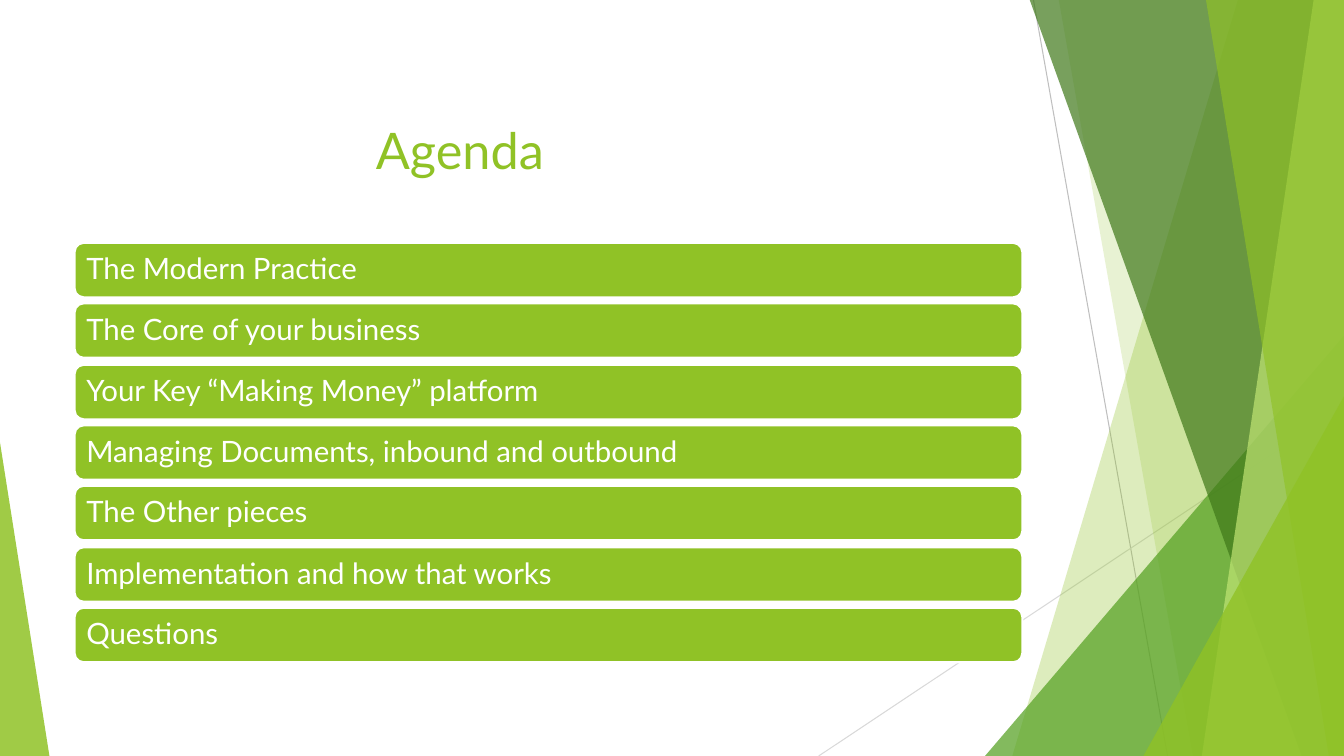
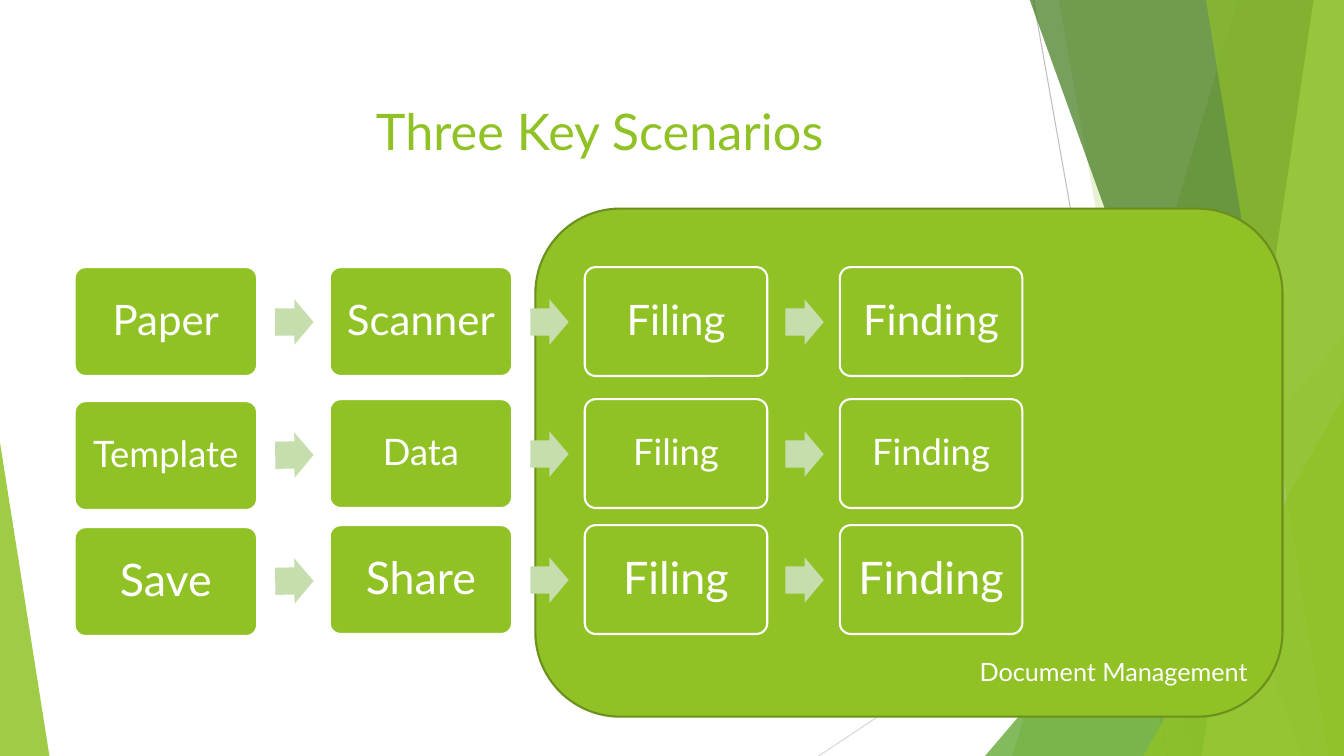
from dataclasses import dataclass

from lxml.etree import SubElement
from pptx import Presentation
from pptx.dml.color import RGBColor
from pptx.enum.shapes import MSO_CONNECTOR, MSO_SHAPE
from pptx.enum.text import MSO_ANCHOR, PP_ALIGN
from pptx.oxml.ns import qn
from pptx.util import Pt

PX = 9144


@dataclass(frozen=True)
class Theme:
    font: str = "Lato"
    lime: str = "90C226"
    pale_lime: str = "C0E474"
    leaf: str = "54A021"
    forest: str = "3F7819"
    olive: str = "6B901C"
    sage: str = "C6DDAD"
    white: str = "FFFFFF"
    grey: str = "BFBFBF"
    light_grey: str = "D9D9D9"
    title_size: int = 36
    agenda_size: int = 21
    panel_size: int = 18
    hairline: float = 0.75
    outline: float = 1.5


@dataclass(frozen=True)
class Box:
    left: int
    top: int
    width: int
    height: int

    def inner(self, left, top, width, height):
        return Box(self.left + left, self.top + top, width, height)

    def emu(self):
        return [length * PX for length in (self.left, self.top, self.width, self.height)]


@dataclass(frozen=True)
class Scenario:
    top: int
    size: int
    steps: tuple
    drop: int = 0


THEME = Theme()
PAGE = Box(0, 0, 1333, 750)
TITLE = Box(363, 94, 651, 89)
AGENDA = Box(74, 241, 940, 416)
PANEL = Box(531, 207, 741, 504)
TOPICS = (
    "The Modern Practice",
    "The Core of your business",
    "Your Key “Making Money” platform",
    "Managing Documents, inbound and outbound",
    "The Other pieces",
    "Implementation and how that works",
    "Questions",
)
SCENARIOS = (
    Scenario(265, 30, ("Paper", "Scanner", "Filing", "Finding")),
    Scenario(396, 26, ("Template", "Data", "Filing", "Finding"), drop=2),
    Scenario(521, 32, ("Save", "Share", "Filing", "Finding"), drop=2),
)


def rgb(color):
    return RGBColor.from_string(color)


def paint(shape, color, opacity=100, outline=None):
    shape.shadow.inherit = False
    shape.fill.solid()
    shape.fill.fore_color.rgb = rgb(color)
    if opacity < 100:
        tint = shape.element.spPr.find(qn("a:solidFill"))[0]
        SubElement(tint, qn("a:alpha"), val=str(opacity * 1000))
    if outline:
        shape.line.color.rgb = rgb(outline)
        shape.line.width = Pt(THEME.outline)
    else:
        shape.line.fill.background()


def add_preset(slide, preset, box, color, opacity=100, outline=None, adjust=()):
    shape = slide.shapes.add_shape(preset, *box.emu())
    paint(shape, color, opacity, outline)
    for index, value in enumerate(adjust):
        shape.adjustments[index] = value
    return shape


def write(shape, text, size, color, align=PP_ALIGN.LEFT, anchor=MSO_ANCHOR.MIDDLE,
          inset=None, spacing=None):
    frame = shape.text_frame
    frame.word_wrap = True
    frame.vertical_anchor = anchor
    if inset is not None:
        frame.margin_left = frame.margin_right = inset * PX
        frame.margin_top = frame.margin_bottom = inset * PX
    frame.text = text
    paragraph = frame.paragraphs[0]
    paragraph.alignment = align
    if spacing:
        paragraph.line_spacing = spacing
    paragraph.font.name = THEME.font
    paragraph.font.size = Pt(size)
    paragraph.font.color.rgb = rgb(color)


def draw_hairline(slide, box, start, end, color):
    hairline = slide.shapes.add_connector(
        MSO_CONNECTOR.STRAIGHT,
        (box.left + start[0]) * PX, (box.top + start[1]) * PX,
        (box.left + end[0]) * PX, (box.top + end[1]) * PX)
    hairline.line.color.rgb = rgb(color)
    hairline.line.width = Pt(THEME.hairline)
    SubElement(hairline.element.spPr, qn("a:effectLst"))


def draw_shard(slide, box, top_x, bottom_x, color, opacity):
    right, bottom = box.left + box.width, box.top + box.height
    outline = slide.shapes.build_freeform(box.left + top_x, box.top - 1, scale=PX)
    outline.add_line_segments(
        [(right, box.top - 1), (right, bottom), (box.left + bottom_x, bottom)])
    paint(outline.convert_to_shape(), color, opacity)


def draw_corner(slide, box, left, width, height, apex, color, opacity):
    corner = box.inner(left, box.height - height, width, height)
    add_preset(slide, MSO_SHAPE.ISOSCELES_TRIANGLE, corner, color, opacity, adjust=(apex,))


def draw_backdrop(slide, box):
    draw_hairline(slide, box, (1025, 0), (1158, 750), THEME.grey)
    draw_hairline(slide, box, (1333, 403), (812, 750), THEME.light_grey)
    draw_shard(slide, box, 1228, 1004, THEME.lime, 30)
    draw_shard(slide, box, 1050, 1183, THEME.lime, 20)
    draw_corner(slide, box, 977, 356, 417, 1, THEME.leaf, 72)
    draw_shard(slide, box, 1021, 1291, THEME.forest, 70)
    draw_shard(slide, box, 1303, 1192, THEME.pale_lime, 70)
    draw_shard(slide, box, 1196, 1318, THEME.lime, 65)
    draw_corner(slide, box, 1134, 199, 357, 1, THEME.lime, 80)
    draw_corner(slide, box, 0, 49, 311, 0, THEME.lime, 85)


def draw_title(slide, box, text, anchor):
    title = slide.shapes.add_textbox(*box.emu())
    write(title, text, THEME.title_size, THEME.lime, anchor=anchor)


def draw_agenda(slide, box, topics):
    bar_height = 54
    pitch = (box.height - bar_height) / (len(topics) - 1)
    for index, topic in enumerate(topics):
        bar = add_preset(slide, MSO_SHAPE.ROUNDED_RECTANGLE,
                         box.inner(0, round(index * pitch), box.width, bar_height),
                         THEME.lime, outline=THEME.white)
        write(bar, topic, THEME.agenda_size, THEME.white, inset=9, spacing=0.9)


def draw_panel(slide, box, label):
    panel = add_preset(slide, MSO_SHAPE.ROUNDED_RECTANGLE, box,
                       THEME.lime, outline=THEME.olive)
    write(panel, label, THEME.panel_size, THEME.white, PP_ALIGN.RIGHT, MSO_ANCHOR.BOTTOM)


def draw_scenario(slide, box, scenario):
    card_width = 181
    last = len(scenario.steps) - 1
    pitch = (box.width - card_width) // last
    for index, step in enumerate(scenario.steps):
        left = index * pitch
        drop = 0 if index else scenario.drop
        card = add_preset(slide, MSO_SHAPE.ROUNDED_RECTANGLE,
                          box.inner(left, drop, card_width, box.height),
                          THEME.lime, outline=THEME.white, adjust=(0.1,))
        write(card, step, scenario.size, THEME.white, PP_ALIGN.CENTER, inset=6, spacing=0.9)
        if index < last:
            arrow = add_preset(slide, MSO_SHAPE.RIGHT_ARROW,
                               box.inner(left + card_width + 18, 32 + drop // 2, 38, 45),
                               THEME.sage, adjust=(0.6, 0.5))
            arrow.rotation = -0.2 * drop


def add_page(deck):
    slide = deck.slides.add_slide(deck.slide_layouts[6])
    draw_backdrop(slide, PAGE)
    return slide


def build_agenda_slide(deck):
    slide = add_page(deck)
    draw_title(slide, TITLE, "Agenda", MSO_ANCHOR.BOTTOM)
    draw_agenda(slide, AGENDA, TOPICS)


def build_scenarios_slide(deck):
    slide = add_page(deck)
    draw_panel(slide, PANEL, "Document Management")
    draw_title(slide, TITLE, "Three Key Scenarios", MSO_ANCHOR.TOP)
    for scenario in SCENARIOS:
        draw_scenario(slide, Box(74, scenario.top, 940, 108), scenario)


def main():
    deck = Presentation()
    deck.slide_width = PAGE.width * PX
    deck.slide_height = PAGE.height * PX
    build_agenda_slide(deck)
    build_scenarios_slide(deck)
    deck.save("out.pptx")


if __name__ == "__main__":
    main()
